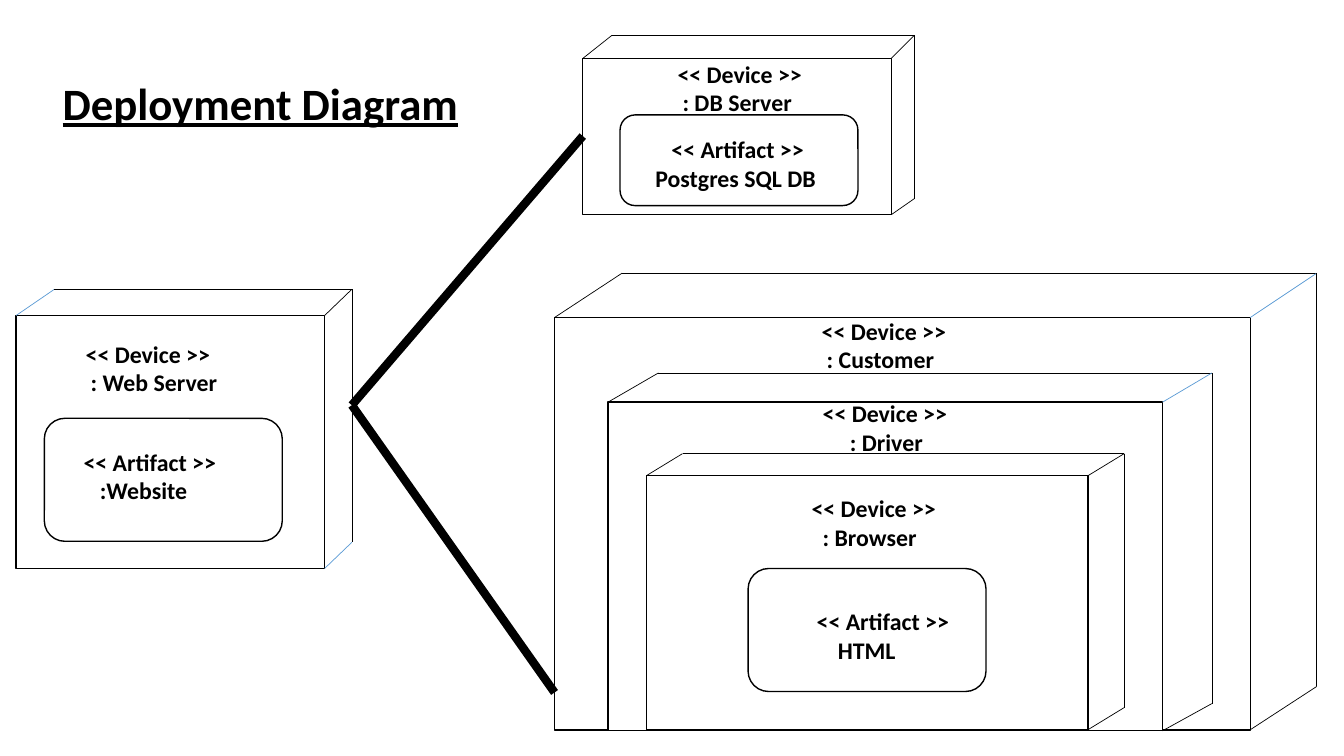
from pptx import Presentation
from pptx.dml.color import RGBColor
from pptx.enum.shapes import MSO_CONNECTOR, MSO_SHAPE
from pptx.enum.text import MSO_ANCHOR, PP_ALIGN
from pptx.oxml.ns import qn
from pptx.util import Pt
from lxml import etree

PX = 9144  # 100 px to the inch
COLORS = {"ink": "000000", "paper": "FFFFFF", "blue": "5B9BD5"}


def px(*lengths):
    return [n * PX for n in lengths]


def rgb(name):
    return RGBColor.from_string(COLORS[name])


def add_text(p, text, size=17, color="ink", underline=None):
    r = p.add_run()
    r.text = text
    f = r.font
    f.name, f.size, f.bold, f.underline = "Calibri", Pt(size), True, underline
    f.color.rgb = rgb(color)


def add_line(s, start, end, color="ink", width=0.5):
    c = s.shapes.add_connector(MSO_CONNECTOR.STRAIGHT, *px(*start, *end))
    c.line.color.rgb = rgb(color)
    c.line.width = Pt(width)
    etree.SubElement(c._element.spPr, qn("a:effectLst"))


def add_panel(s, kind, x, y, w, h):
    sp = s.shapes.add_shape(kind, *px(x, y, w, h))
    sp.shadow.inherit = False
    sp.fill.solid()
    sp.fill.fore_color.rgb = rgb("paper")
    sp.line.color.rgb = rgb("ink")
    sp.line.width = Pt(1)


def add_device(s, x, y, w, h, depth, blue=()):
    """Front face plus the lid and side edges of a 3D node."""
    add_panel(s, MSO_SHAPE.FLOWCHART_PROCESS, x, y, w, h)
    left, right, top, bottom = depth
    back_left = (x + left, y - top)
    back_right = (x + w + right, y - top)
    back_base = (x + w + right, y + h - bottom)
    edges = {
        "lid left": ((x, y), back_left),
        "lid back": (back_left, back_right),
        "lid right": ((x + w, y), back_right),
        "side": (back_right, back_base),
        "base": ((x + w, y + h), back_base),
    }
    for name, (start, end) in edges.items():
        add_line(s, start, end, "blue" if name in blue else "ink")


def add_artifact(s, x, y, h=122):
    add_panel(s, MSO_SHAPE.ROUNDED_RECTANGLE, x, y, 236, h)


def add_label(s, x, y, stereotype, name, indents):
    tf = s.shapes.add_textbox(*px(x, y, 190, 67)).text_frame
    tf.word_wrap = True
    tf.margin_left = tf.margin_right = 0
    for i, text in enumerate((f"<< {stereotype} >>", name)):
        p = tf.paragraphs[0] if i == 0 else tf.add_paragraph()
        pPr = p._p.get_or_add_pPr()
        pPr.set("marL", str(indents[i] * PX))
        pPr.set("indent", "0")
        add_text(p, text)


def add_title(s, text):
    title = s.shapes.title
    title.left, title.top, title.width, title.height = px(52, 70, 456, 64)
    tf = title.text_frame
    tf.word_wrap = True
    tf.vertical_anchor = MSO_ANCHOR.TOP
    p = tf.paragraphs[0]
    p.alignment = PP_ALIGN.LEFT
    add_text(p, text, size=32, underline=True)


def main():
    prs = Presentation()
    prs.slide_width, prs.slide_height = px(1333, 750)
    s = prs.slides.add_slide(prs.slide_layouts[5])
    add_title(s, "Deployment Diagram")

    # Devices: x, y, w, h, (left, right, top, bottom depth), blue edges
    devices = [
        (550, 315, 690, 409, (67, 66, 44, 43), ("lid right",)),
        (603, 399, 550, 326, (50, 49, 29, 27), ("lid right",)),
        (641, 472, 438, 252, (36, 36, 22, 22)),
        (16, 313, 306, 251, (38, 27, 26, 26), ("lid left", "base")),
        (578, 58, 306, 155, (29, 23, 23, 16)),
    ]
    for device in devices:
        add_device(s, *device)

    # Artifacts
    add_artifact(s, 742, 564)
    add_artifact(s, 44, 415)
    add_artifact(s, 615, 114, h=90)

    # Links from the web server
    for end in ((578, 135), (550, 687)):
        add_line(s, (349, 402), end, width=6)

    # Labels: x, y, stereotype, name, line indents
    labels = [
        (815, 309, "Device", ": Customer", (0, 5)),
        (816, 391, "Device", ": Driver", (0, 27)),
        (805, 485, "Device", ": Browser", (0, 11)),
        (810, 597, "Artifact", "HTML", (0, 21)),
        (85, 332, "Device", ": Web Server", (0, 5)),
        (83, 439, "Artifact", ":Website", (0, 16)),
        (672, 54, "Device", ": DB Server", (0, 5)),
        (650, 129, "Artifact", "Postgres SQL DB", (16, 0)),
    ]
    for label in labels:
        add_label(s, *label)

    prs.save("out.pptx")


if __name__ == "__main__":
    main()
